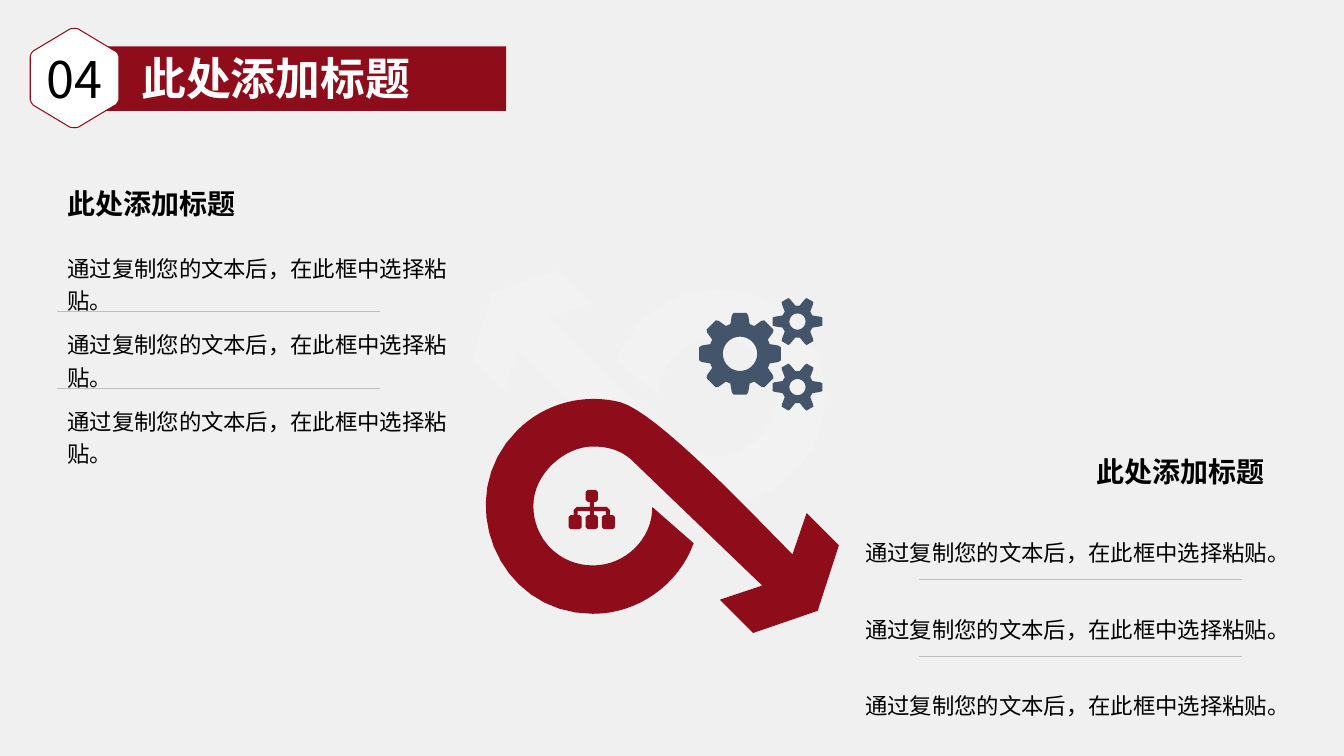
import math

from lxml import etree
from pptx import Presentation
from pptx.dml.color import RGBColor
from pptx.enum import shapes, text
from pptx.oxml.ns import qn
from pptx.util import Inches, Pt

RED = RGBColor(0x8F, 0x0C, 0x1B)
SLATE = RGBColor(0x44, 0x54, 0x6A)
PALE = RGBColor(0xF2, 0xF2, 0xF2)
RULE = RGBColor(0xBF, 0xBF, 0xBF)
BACKGROUND = RGBColor(0xF0, 0xF0, 0xF0)
BLACK = RGBColor(0, 0, 0)
WHITE = RGBColor(0xFF, 0xFF, 0xFF)

FONT = "Noto Sans CJK SC"
HEADING = "此处添加标题"
BODY = "通过复制您的文本后，在此框中选择粘贴。"
ROW_STEP = 0.76

# Outlines: a pair is a corner, six numbers are a Bezier curve
LOOP_ARROW = [
    (5.13, 4.27), (5.4, 4, 5.79, 3.9, 6.15, 3.99), (6.52, 4.09, 7.49, 5.13, 7.86, 5.5),
    (8, 5.09), (8.32, 5.41), (8.11, 6.06), (7.47, 6.28), (7.14, 5.95), (7.56, 5.81),
    (6.26, 4.56), (6.17, 4.48, 6.05, 4.43, 5.88, 4.43), (5.6, 4.43, 5.29, 4.7, 5.29, 5.02),
    (5.29, 5.35, 5.55, 5.61, 5.88, 5.61), (6.2, 5.61, 6.47, 5.35, 6.47, 5.03),
    (6.88, 5.39), (6.73, 5.8, 6.33, 6.09, 5.88, 6.09), (4.92, 6.09, 4.47, 4.92, 5.13, 4.27),
]
HEXAGON = [
    (1.18, 0.57), (1.18, 0.54, 1.16, 0.51, 1.13, 0.5), (0.78, 0.29),
    (0.76, 0.28, 0.72, 0.28, 0.69, 0.29), (0.34, 0.5), (0.32, 0.51, 0.3, 0.54, 0.3, 0.57),
    (0.3, 0.98), (0.3, 1, 0.32, 1.04, 0.34, 1.05), (0.69, 1.26),
    (0.72, 1.27, 0.76, 1.27, 0.78, 1.26), (1.13, 1.05), (1.16, 1.04, 1.18, 1, 1.18, 0.98),
]
# Right half of the organisation icon, measured from its vertical axis
ORG_AXIS = 5.87
ORG_HALF = [
    (0, 4.86), (0.04, 4.86), (0.06, 4.88), (0.06, 4.96), (0.04, 4.98), (0.02, 4.98),
    (0.02, 5.03), (0.15, 5.03), (0.18, 5.06), (0.18, 5.11), (0.21, 5.11), (0.23, 5.13),
    (0.23, 5.23), (0.21, 5.25), (0.12, 5.25), (0.1, 5.23), (0.1, 5.13), (0.12, 5.11),
    (0.14, 5.11), (0.14, 5.07), (0.02, 5.07), (0.02, 5.11), (0.04, 5.11), (0.06, 5.13),
    (0.06, 5.23), (0.04, 5.25), (0, 5.25),
]


def flatten(outline, steps=16):
    points = []
    for part in outline:
        if len(part) == 2:
            points.append(part)
            continue
        knots = [points[-1], part[:2], part[2:4], part[4:]]
        for i in range(1, steps + 1):
            t = i / steps
            weights = ((1 - t) ** 3, 3 * t * (1 - t) ** 2, 3 * t * t * (1 - t), t ** 3)
            points.append(tuple(sum(w * k[axis] for w, k in zip(weights, knots))
                                for axis in (0, 1)))
    return points


def polar(cx, cy, radius, degrees):
    a = math.radians(degrees)
    return cx + radius * math.cos(a), cy + radius * math.sin(a)


def gear(cx, cy, teeth, outer, root, root_half, hole):
    """Return the toothed rim and the hole of a gear."""
    profile = ((root, -root_half), (outer - 0.02, -12), (outer, -9),
               (outer, 9), (outer - 0.02, 12), (root, root_half))
    rim = [polar(cx, cy, radius, 360 * i / teeth + turn)
           for i in range(teeth) for radius, turn in profile]
    return [rim, [polar(cx, cy, hole, -10 * i) for i in range(36)]]


def paint(sp, fill, line=None):
    sp.shadow.inherit = False
    sp.fill.solid()
    sp.fill.fore_color.rgb = fill
    if line is None:
        sp.line.fill.background()
    else:
        sp.line.color.rgb = line
        sp.line.width = Pt(0)


def add_outline(s, contours, fill, line=None):
    first, *others = [[(Inches(x), Inches(y)) for x, y in c] for c in contours]
    builder = s.shapes.build_freeform(*first[0], scale=1.0)
    builder.add_line_segments(first[1:], close=True)
    for contour in others:
        builder.move_to(*contour[0])
        builder.add_line_segments(contour[1:], close=True)
    sp = builder.convert_to_shape()
    paint(sp, fill, line)
    return sp


def write(sp, words, size=16, color=BLACK, bold=False, align=text.PP_ALIGN.LEFT,
          spacing=None, anchor=text.MSO_ANCHOR.MIDDLE, wrap=True):
    tf = sp.text_frame
    tf.word_wrap = wrap
    tf.vertical_anchor = anchor
    p = tf.paragraphs[0]
    p.alignment = align
    if spacing:
        p.line_spacing = spacing
    r = p.add_run()
    r.text = words
    r.font.name = FONT
    etree.SubElement(r.font._element, qn("a:ea"), typeface=FONT)
    r.font.size = Pt(size)
    r.font.bold = bold
    r.font.color.rgb = color


def add_text(s, x, y, w, h, words, **style):
    sp = s.shapes.add_textbox(Inches(x), Inches(y), Inches(w), Inches(h))
    write(sp, words, **style)
    return sp


def add_rule(s, x, y, length):
    line = s.shapes.add_connector(shapes.MSO_CONNECTOR.STRAIGHT, Inches(x), Inches(y),
                                  Inches(x + length), Inches(y))
    line.line.color.rgb = RULE
    line.line.width = Pt(0.25)
    etree.SubElement(line._element.spPr, qn("a:effectLst"))


def add_text_column(s, x, y, width, rule_x, align):
    """Add three paragraphs with a thin rule between neighbours."""
    for i in range(3):
        top = y + i * ROW_STEP
        add_text(s, x, top, width, 0.81, BODY, align=align, spacing=1.2)
        if i < 2:
            add_rule(s, rule_x, top + 0.7, 3.2)


def add_header(s):
    bar = s.shapes.add_shape(shapes.MSO_SHAPE.RECTANGLE, Inches(0.99), Inches(0.46),
                             Inches(4.03), Inches(0.64))
    paint(bar, RED)
    badge = add_outline(s, [flatten(HEXAGON)], WHITE, RED)
    write(badge, "04", size=36, align=text.PP_ALIGN.CENTER, wrap=False)
    title = add_text(s, 1.28, 0.45, 2.89, 0.64, HEADING, size=32, color=WHITE, bold=True,
                     align=text.PP_ALIGN.RIGHT, anchor=text.MSO_ANCHOR.TOP, wrap=False)
    title.text_frame.auto_size = text.MSO_AUTO_SIZE.SHAPE_TO_FIT_TEXT


def main():
    prs = Presentation()
    prs.slide_width, prs.slide_height = Inches(13.33), Inches(7.5)
    s = prs.slides.add_slide(prs.slide_layouts[6])
    s.background.fill.solid()
    s.background.fill.fore_color.rgb = BACKGROUND

    # Pale loop is the red one turned by half a circle
    loop = flatten(LOOP_ARROW)
    add_outline(s, [[(13 - x, 8.96 - y) for x, y in loop]], PALE)
    gears = gear(7.34, 3.51, 8, 0.41, 0.31, 18, 0.17)
    for cy in (3.19, 3.84):
        gears += gear(7.91, cy, 6, 0.25, 0.16, 22, 0.08)
    add_outline(s, gears, SLATE)

    # Red loop and organisation icon
    add_outline(s, [loop], RED)
    org = [(ORG_AXIS + dx, y) for dx, y in ORG_HALF]
    org += [(ORG_AXIS - dx, y) for dx, y in reversed(ORG_HALF[1:-1])]
    add_outline(s, [org], RED)

    # Left and right text
    add_text(s, 0.57, 1.74, 3.31, 0.56, HEADING, size=20, bold=True)
    add_text_column(s, 0.57, 2.39, 4.11, 0.57, text.PP_ALIGN.LEFT)
    add_text(s, 9.33, 4.4, 3.31, 0.56, HEADING, size=20, bold=True,
             align=text.PP_ALIGN.RIGHT)
    add_text_column(s, 8.32, 5.05, 4.35, 9.12, text.PP_ALIGN.RIGHT)

    add_header(s)
    prs.save("out.pptx")


if __name__ == "__main__":
    main()
